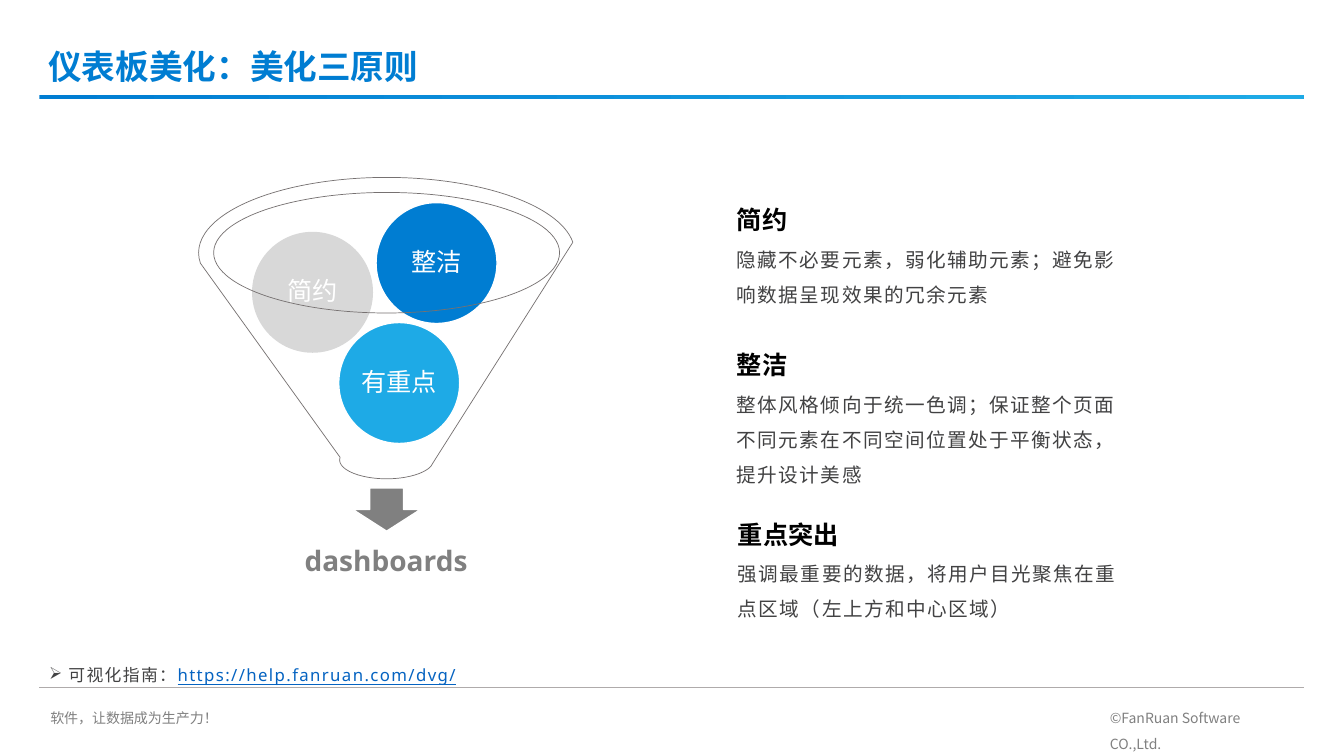
"""Build the slide on the three principles of dashboard styling."""
from dataclasses import dataclass
from typing import Optional

from lxml.etree import SubElement
from pptx import Presentation
from pptx.dml.color import RGBColor
from pptx.enum.shapes import MSO_CONNECTOR, MSO_SHAPE as Preset
from pptx.enum.text import MSO_ANCHOR as Anchor, MSO_AUTO_SIZE as AutoSize, PP_ALIGN as Align
from pptx.oxml.ns import qn
from pptx.shapes.autoshape import Shape
from pptx.shapes.shapetree import _BaseGroupShapes as ShapeTree
from pptx.text.text import _Paragraph as Paragraph
from pptx.util import Inches, Pt


@dataclass(frozen=True)
class Theme:
    font: str = "Noto Sans"
    asian_font: str = "Noto Sans CJK SC"
    blue: str = "007DD2"
    sky: str = "1EAAE6"
    pale: str = "D8D8D8"
    grey: str = "808080"
    outline: str = "767171"
    rule: str = "AFABAB"
    body: str = "424243"
    link: str = "0563C1"
    black: str = "000000"
    white: str = "FFFFFF"
    title_size: int = 24
    result_size: int = 20
    heading_size: int = 18
    body_size: int = 14
    guide_size: int = 12
    footer_size: int = 10


THEME = Theme()


@dataclass(frozen=True)
class Box:
    left: float
    top: float
    width: float
    height: float

    def lengths(self) -> tuple:
        return tuple(Inches(value) for value in (self.left, self.top, self.width, self.height))


@dataclass(frozen=True)
class Style:
    size: int
    color: str
    bold: bool = False
    underline: bool = False
    spacing: int = 0
    font: str = THEME.font


@dataclass(frozen=True)
class Ball:
    label: str
    left: float
    top: float
    fill: str
    line: Optional[str]


@dataclass(frozen=True)
class Principle:
    heading: str
    text: str
    left: float
    top: float
    body_height: float


@dataclass(frozen=True)
class Footer:
    text: str
    box: Box


TITLE = Style(THEME.title_size, THEME.blue, bold=True)
RESULT = Style(THEME.result_size, THEME.grey, bold=True)
BALL = Style(THEME.heading_size, THEME.white)
HEADING = Style(THEME.heading_size, THEME.black, bold=True)
BODY = Style(THEME.body_size, THEME.body, spacing=100)
GUIDE = Style(THEME.guide_size, THEME.body, spacing=100)
LINK = Style(THEME.guide_size, THEME.link, underline=True, spacing=100)
FOOTER = Style(THEME.footer_size, THEME.grey, font=THEME.asian_font)

BALL_SIZE = 1.2
BALLS = [
    Ball("有重点", 3.36, 3.2, THEME.sky, THEME.white),
    Ball("简约", 2.5, 2.3, THEME.pale, None),
    Ball("整洁", 3.73, 2.01, THEME.blue, THEME.white),
]
PRINCIPLES = [
    Principle("简约", "隐藏不必要元素，弱化辅助元素；避免影响数据呈现效果的冗余元素", 7.21, 1.98, 0.77),
    Principle("整洁", "整体风格倾向于统一色调；保证整个页面不同元素在不同空间位置处于平衡状态，提升设计美感",
              7.21, 3.42, 1.16),
    Principle("重点突出", "强调最重要的数据，将用户目光聚焦在重点区域（左上方和中心区域）", 7.22, 5.1, 0.77),
]
FOOTERS = [
    Footer("©FanRuan Software CO.,Ltd.", Box(10.91, 6.91, 1.9, 0.33)),
    Footer("软件，让数据成为生产力！", Box(0.4, 6.91, 1.88, 0.33)),
]


def rgb(color: str) -> RGBColor:
    return RGBColor.from_string(color)


def add_run(paragraph: Paragraph, text: str, style: Style) -> None:
    run = paragraph.add_run()
    run.text = text
    font = run.font
    font.size = Pt(style.size)
    font.bold = style.bold
    font.underline = style.underline
    font.color.rgb = rgb(style.color)
    font.name = style.font
    properties = run._r.get_or_add_rPr()
    SubElement(properties, qn("a:ea")).set("typeface", THEME.asian_font)
    if style.spacing:
        properties.set("spc", str(style.spacing))


def add_text(shapes: ShapeTree, box: Box, text: str, style: Style, line_spacing: float = 1.0,
             align: Align = Align.LEFT, anchor: Anchor = Anchor.TOP) -> Paragraph:
    frame = shapes.add_textbox(*box.lengths()).text_frame
    frame.word_wrap = True
    frame.vertical_anchor = anchor
    paragraph = frame.paragraphs[0]
    paragraph.alignment = align
    paragraph.line_spacing = line_spacing
    add_run(paragraph, text, style)
    return paragraph


def add_preset(shapes: ShapeTree, preset: Preset, box: Box, fill: Optional[str],
               line: Optional[str], line_width: float = 1) -> Shape:
    shape = shapes.add_shape(preset, *box.lengths())
    shape.shadow.inherit = False
    if fill:
        shape.fill.solid()
        shape.fill.fore_color.rgb = rgb(fill)
    else:
        shape.fill.background()
    if line:
        shape.line.color.rgb = rgb(line)
        shape.line.width = Pt(line_width)
    else:
        shape.line.fill.background()
    return shape


def add_frame(shapes: ShapeTree) -> None:
    bar = add_preset(shapes, Preset.RECTANGLE, Box(0.39, 0.94, 12.54, 0.04), None, None)
    bar.fill.gradient()
    bar.fill.gradient_angle = 0
    for stop, color in zip(bar.fill.gradient_stops, (THEME.blue, THEME.sky)):
        stop.color.rgb = rgb(color)
    rule = shapes.add_connector(MSO_CONNECTOR.STRAIGHT, Inches(0.39), Inches(6.82),
                                Inches(12.93), Inches(6.82))
    rule.line.color.rgb = rgb(THEME.rule)
    rule.line.width = Pt(0.5)
    SubElement(rule._element.spPr, qn("a:effectLst"))
    for footer in FOOTERS:
        add_text(shapes, footer.box, footer.text, FOOTER, 1.5)


def add_title(title: Shape, text: str) -> None:
    title.left, title.top, title.width, title.height = Box(0.38, 0.45, 10.93, 0.47).lengths()
    frame = title.text_frame
    frame.auto_size = AutoSize.NONE
    frame.vertical_anchor = Anchor.MIDDLE
    paragraph = frame.paragraphs[0]
    paragraph.alignment = Align.LEFT
    paragraph.line_spacing = 0.9
    add_run(paragraph, text, TITLE)


def add_ball(shapes: ShapeTree, ball: Ball) -> None:
    box = Box(ball.left, ball.top, BALL_SIZE, BALL_SIZE)
    frame = add_preset(shapes, Preset.OVAL, box, ball.fill, ball.line).text_frame
    frame.margin_left = frame.margin_right = frame.margin_top = frame.margin_bottom = 0
    frame.vertical_anchor = Anchor.MIDDLE
    paragraph = frame.paragraphs[0]
    paragraph.alignment = Align.CENTER
    paragraph.line_spacing = 0.9
    add_run(paragraph, ball.label, BALL)


def add_funnel(shapes: ShapeTree) -> None:
    add_preset(shapes, Preset.DOWN_ARROW, Box(3.5, 4.84, 0.67, 0.43), THEME.grey, THEME.white)
    add_text(shapes, Box(2.23, 5.18, 3.2, 0.8), "dashboards", RESULT, 0.9, Align.CENTER, Anchor.MIDDLE)
    for ball in BALLS:
        add_ball(shapes, ball)
    add_preset(shapes, Preset.FUNNEL, Box(1.97, 1.76, 3.73, 2.99), None, THEME.outline, 0.5)


def add_principle(shapes: ShapeTree, principle: Principle) -> None:
    group = shapes.add_group_shape().shapes
    left, top = principle.left, principle.top
    add_text(group, Box(left, top, 4.08, 0.4), principle.heading, HEADING)
    add_text(group, Box(left, top + 0.31, 4.09, principle.body_height), principle.text, BODY, 1.5)


def add_guide(shapes: ShapeTree) -> None:
    paragraph = add_text(shapes, Box(0.39, 6.55, 4.84, 0.5), "可视化指南：", GUIDE)
    properties = paragraph._p.get_or_add_pPr()
    properties.set("marL", str(Inches(0.19)))
    properties.set("indent", str(Inches(-0.19)))
    SubElement(properties, qn("a:buChar")).set("char", "➢")
    add_run(paragraph, "https://help.fanruan.com/dvg/", LINK)


def main() -> None:
    presentation = Presentation()
    presentation.slide_width, presentation.slide_height = Inches(13.33), Inches(7.5)
    slide = presentation.slides.add_slide(presentation.slide_layouts[5])
    add_frame(slide.shapes)
    add_title(slide.shapes.title, "仪表板美化：美化三原则")
    add_funnel(slide.shapes)
    for principle in PRINCIPLES:
        add_principle(slide.shapes, principle)
    add_guide(slide.shapes)
    presentation.save("out.pptx")


if __name__ == "__main__":
    main()
